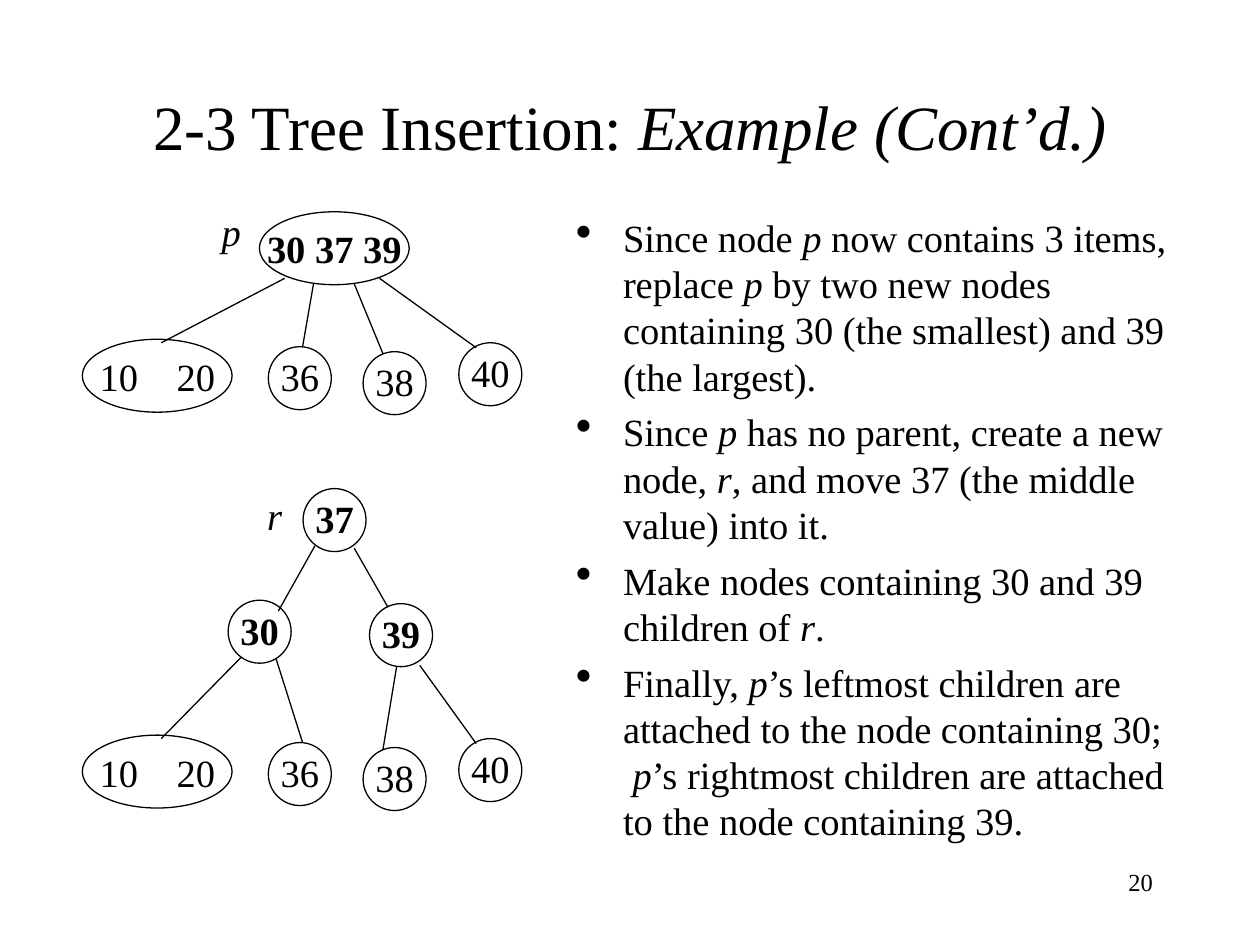
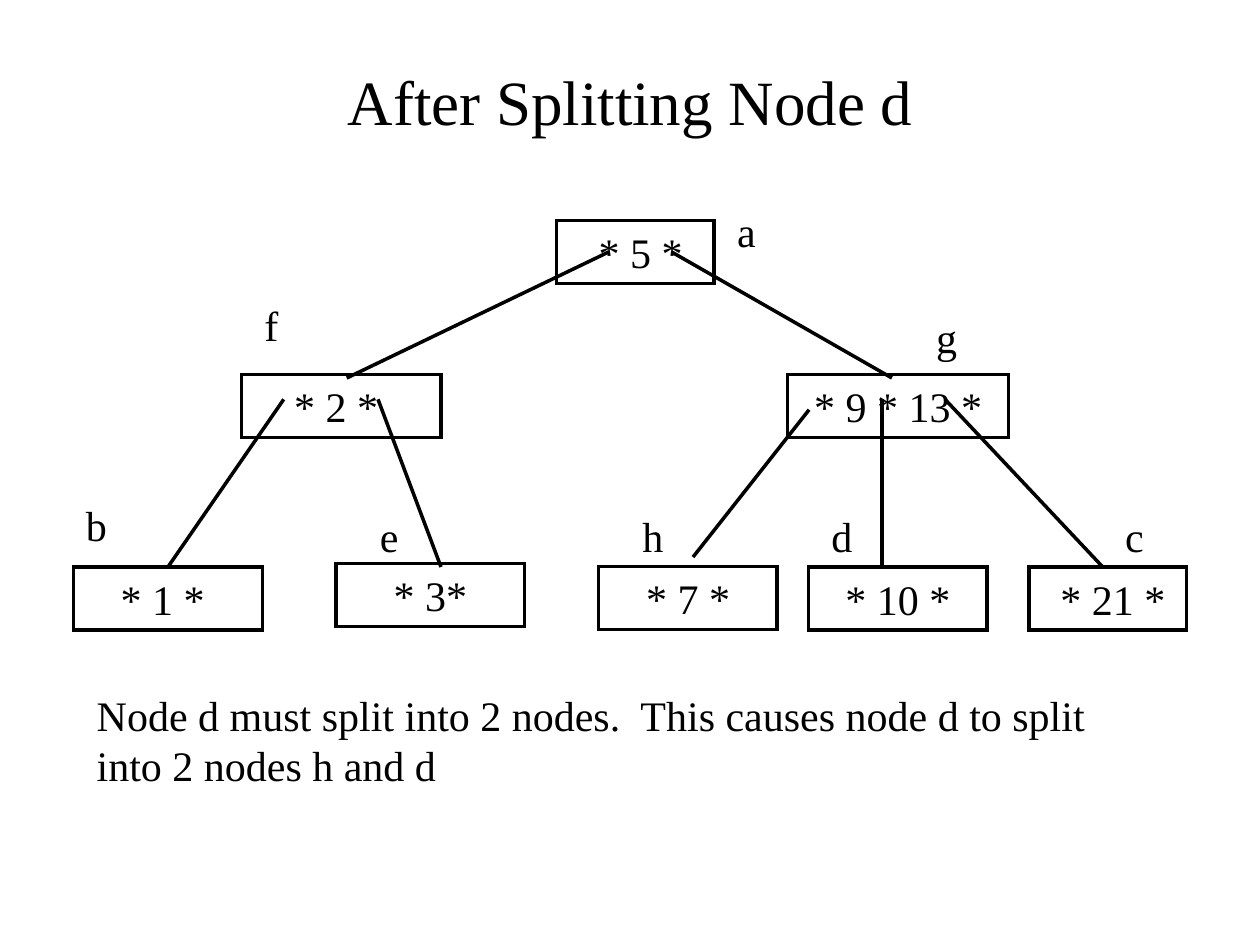
import dataclasses
import typing

import pptx
import pptx.dml.color
import pptx.enum.shapes
import pptx.enum.text
import pptx.oxml
import pptx.oxml.ns
import pptx.util

Cm = pptx.util.Cm
Pt = pptx.util.Pt
Align = pptx.enum.text.PP_ALIGN
Anchor = pptx.enum.text.MSO_ANCHOR
Preset = pptx.enum.shapes.MSO_SHAPE

FONT = "Times New Roman"
BLACK = "000000"
WHITE = "FFFFFF"
THIN, THICK = 0.75, 2
TREE_SIZE, SPLIT_SIZE = 22, 24
CIRCLE = 1.27
CIRCLE_TEXT_LIFT = 0.08
OVAL = (3.02, 1.47)
BOX_HEIGHT = 1.27
BULLET_INDENT = 0.95
LOWER_TREE_SHIFT = 7.98
PAIR_TAB = 1.55


@dataclasses.dataclass(frozen=True)
class Node:
    """A tree node; lengths in centimetres."""
    text: str
    left: float
    top: float
    width: float = CIRCLE
    height: float = CIRCLE
    bold: bool = False


@dataclasses.dataclass(frozen=True)
class Label:
    text: str
    left: float
    top: float


@dataclasses.dataclass(frozen=True)
class Edge:
    """A line between two points; child names the node whose top it joins."""
    x1: float
    y1: float
    x2: float
    y2: float
    child: typing.Optional[str] = None


LEAVES = [
    Node("", 1.66, 6.84, *OVAL),
    Node("36", 5.41, 6.99),
    Node("38", 7.32, 7.09),
    Node("40", 9.25, 6.91),
]
LEAF_JOINTS = [(3.25, 6.91), (6.1, 6.99), (7.72, 7.13), (9.6, 7.01)]
UPPER_STARTS = [(5.74, 5.61), (6.32, 5.72), (7.14, 5.72), (7.65, 5.61)]
LOWER_STARTS = [(4.88, 13.23), (5.56, 13.26), (8, 13.41), (8.46, 13.41)]
FULL_NODE = Node("30 37 39", 5.23, 4.27, *OVAL, bold=True)
NEW_NODES = [
    Node("37", 6.11, 9.85, bold=True),
    Node("30", 4.6, 12.1, bold=True),
    Node("39", 7.45, 12.17, bold=True),
]
NEW_EDGES = [Edge(6.35, 11, 5.61, 12.32), Edge(7.14, 11.05, 7.82, 12.24)]
NAMES = [Label("_p_", 4.22, 4.06), Label("_r_", 5.11, 9.78)]
STEPS = [
    "Since node _p_ now contains 3 items, replace _p _by two new nodes "
    "containing 30 (the smallest) and 39 (the largest).",
    "Since _p_ has no parent, create a new node, _r_, and move 37 "
    "(the middle value) into it.",
    "Make nodes containing 30 and 39 children of _r_.",
    "Finally, _p_’s leftmost children are attached to the node containing 30;"
    "  _p_’s rightmost children are attached to the node containing 39.",
]

SPLIT_BOXES = {
    "a": Node(" * 5 *", 11.22, 4.45, 3.18),
    "f": Node("* 2 * ", 4.87, 7.55, 4.02),
    "g": Node("* 9 * 13 *", 15.88, 7.55, 4.45),
    "b": Node("* 1 * ", 1.48, 11.43, 3.81),
    "e": Node("* 3*", 6.77, 11.36, 3.81),
    "h": Node("* 7 *", 12.07, 11.42, 3.6),
    "d": Node("* 10 *", 16.3, 11.43, 3.6),
    "c": Node(" * 21 *", 20.74, 11.43, 3.18),
}
SPLIT_LABELS = [
    Label("a", 14.61, 4.01), Label("f", 5.08, 5.92), Label("g", 18.62, 6.15),
    Label("b", 1.48, 9.95), Label("e", 7.41, 10.16), Label("h", 12.7, 10.16),
    Label("d", 16.51, 10.16), Label("c", 22.43, 10.16),
]
SPLIT_EDGES = [
    Edge(12.27, 5.08, 6.99, 7.62),
    Edge(13.54, 5.08, 17.98, 7.62),
    Edge(5.72, 8.05, 3.38, 11.43, child="b"),
    Edge(7.62, 8.05, 8.89, 11.43),
    Edge(16.31, 8.26, 13.97, 11.23),
    Edge(17.78, 8.05, 17.78, 11.43),
    Edge(19.05, 8.05, 22.23, 11.43),
]


def color(value: str) -> pptx.dml.color.RGBColor:
    return pptx.dml.color.RGBColor.from_string(value)


def drawing_element(tag: str, attributes: str = "", content: str = ""):
    return pptx.oxml.parse_xml(
        f'<a:{tag} {pptx.oxml.ns.nsdecls("a")} {attributes}>{content}</a:{tag}>')


def add_bullet(paragraph) -> None:
    properties = paragraph._p.get_or_add_pPr()
    properties.set("marL", str(Cm(BULLET_INDENT)))
    properties.set("indent", str(-Cm(BULLET_INDENT)))
    properties.append(drawing_element("buSzPct", 'val="120000"'))
    properties.append(drawing_element("buChar", 'char="•"'))


def add_tab(paragraph, position: float) -> None:
    paragraph._p.get_or_add_pPr().append(drawing_element(
        "tabLst", content=f'<a:tab pos="{Cm(position)}" algn="l"/>'))


def write(shape, *paragraphs: str, size: float, align=Align.LEFT,
          anchor=Anchor.TOP, bold: bool = False, bullets: bool = False,
          space_before: float = 0, wrap: bool = True,
          margins: typing.Optional[float] = None,
          tab: typing.Optional[float] = None) -> None:
    """Fill a shape with paragraphs; words between underscores are italic."""
    frame = shape.text_frame
    frame.word_wrap = wrap
    frame.vertical_anchor = anchor
    if margins is not None:
        frame.margin_left = frame.margin_right = Cm(margins)
        frame.margin_top = frame.margin_bottom = Cm(margins)
    for index, text in enumerate(paragraphs):
        paragraph = frame.add_paragraph() if index else frame.paragraphs[0]
        if bullets:
            add_bullet(paragraph)
        if tab:
            add_tab(paragraph, tab)
        paragraph.alignment = align
        if index:
            paragraph.space_before = Pt(space_before)
        for part, piece in enumerate(text.split("_")):
            if piece:
                run = paragraph.add_run()
                run.text = piece
                run.font.name = FONT
                run.font.size = Pt(size)
                run.font.bold = bold
                run.font.italic = part % 2 == 1
                run.font.color.rgb = color(BLACK)


def add_text(slide, left: float, top: float, width: float, height: float,
             *paragraphs: str, **text_format) -> None:
    box = slide.shapes.add_textbox(Cm(left), Cm(top), Cm(width), Cm(height))
    write(box, *paragraphs, **text_format)


def add_title(slide, text: str, top: float, height: float) -> None:
    add_text(slide, 1.91, top, 21.59, height, text, size=36,
             align=Align.CENTER, anchor=Anchor.MIDDLE)


def add_node(slide, node: Node, preset, line_width: float,
             fill: typing.Optional[str] = None, **text_format):
    shape = slide.shapes.add_shape(preset, Cm(node.left), Cm(node.top),
                                   Cm(node.width), Cm(node.height))
    shape.shadow.inherit = False
    if fill:
        shape.fill.solid()
        shape.fill.fore_color.rgb = color(fill)
    else:
        shape.fill.background()
    shape.line.color.rgb = color(BLACK)
    shape.line.width = Pt(line_width)
    shape._element.spPr.get_or_add_ln().append(
        drawing_element("miter", 'lim="800000"'))
    if node.text:
        write(shape, node.text, bold=node.bold, align=Align.CENTER, **text_format)
    return shape


def add_ellipse(slide, node: Node) -> None:
    shape = add_node(slide, node, Preset.OVAL, THIN, fill=WHITE, size=TREE_SIZE,
                     anchor=Anchor.MIDDLE, wrap=False, margins=0)
    if node.width == CIRCLE:
        shape.text_frame.margin_bottom = Cm(CIRCLE_TEXT_LIFT)


def add_edge(slide, edge: Edge, line_width: float, child=None) -> None:
    connector = slide.shapes.add_connector(
        pptx.enum.shapes.MSO_CONNECTOR.STRAIGHT,
        Cm(edge.x1), Cm(edge.y1), Cm(edge.x2), Cm(edge.y2))
    connector.line.color.rgb = color(BLACK)
    connector.line.width = Pt(line_width)
    connector._element.spPr.append(drawing_element("effectLst"))
    if child is not None:
        connector.end_connect(child, 0)


def add_leaves(slide, starts: list, shift: float) -> None:
    """Draw the four leaves, moved down by shift, and the lines to them."""
    for leaf in LEAVES:
        add_ellipse(slide, dataclasses.replace(leaf, top=leaf.top + shift))
    add_text(slide, 1.76, 6.99 + shift, 3.2, 1.19, "10\t20",
             size=TREE_SIZE, anchor=Anchor.MIDDLE, tab=PAIR_TAB)
    for start, (x, y) in zip(starts, LEAF_JOINTS):
        add_edge(slide, Edge(*start, x, y + shift), THIN)


def build_insertion_slide(slide) -> None:
    add_title(slide, "2-3 Tree Insertion: _Example (Cont’d.)_", 1.7, 1.65)
    add_text(slide, 11.36, 4.19, 12.42, 13.08, *STEPS, size=TREE_SIZE,
             bullets=True, space_before=5.5)
    add_ellipse(slide, FULL_NODE)
    add_leaves(slide, UPPER_STARTS, 0)
    add_leaves(slide, LOWER_STARTS, LOWER_TREE_SHIFT)
    for node in NEW_NODES:
        add_ellipse(slide, node)
    for edge in NEW_EDGES:
        add_edge(slide, edge, THIN)
    for name in NAMES:
        add_text(slide, name.left, name.top, 0.85, 1.19, name.text,
                 size=TREE_SIZE, align=Align.CENTER, anchor=Anchor.MIDDLE,
                 wrap=False)
    add_text(slide, 18.21, 17.35, 5.28, 1.27, "20", size=14, align=Align.RIGHT)


def build_split_slide(slide) -> None:
    add_title(slide, "After Splitting Node d", 0.43, 3.18)
    boxes = {
        name: add_node(slide, dataclasses.replace(node, height=BOX_HEIGHT),
                       Preset.RECTANGLE, THICK, size=SPLIT_SIZE)
        for name, node in SPLIT_BOXES.items()
    }
    for edge in SPLIT_EDGES:
        add_edge(slide, edge, THICK, boxes.get(edge.child))
    for label in SPLIT_LABELS:
        add_text(slide, label.left, label.top, 1.27, 1.27, label.text,
                 size=SPLIT_SIZE)
    add_text(slide, 1.7, 13.77, 21.39, 2.29,
             "Node d must split into 2 nodes.  This causes node d to split "
             "into 2 nodes h and d", size=SPLIT_SIZE)


def main() -> None:
    presentation = pptx.Presentation()
    presentation.slide_width = Cm(25.4)
    presentation.slide_height = Cm(19.05)
    blank = presentation.slide_layouts[6]
    for build in (build_insertion_slide, build_split_slide):
        build(presentation.slides.add_slide(blank))
    presentation.save("out.pptx")


if __name__ == "__main__":
    main()
